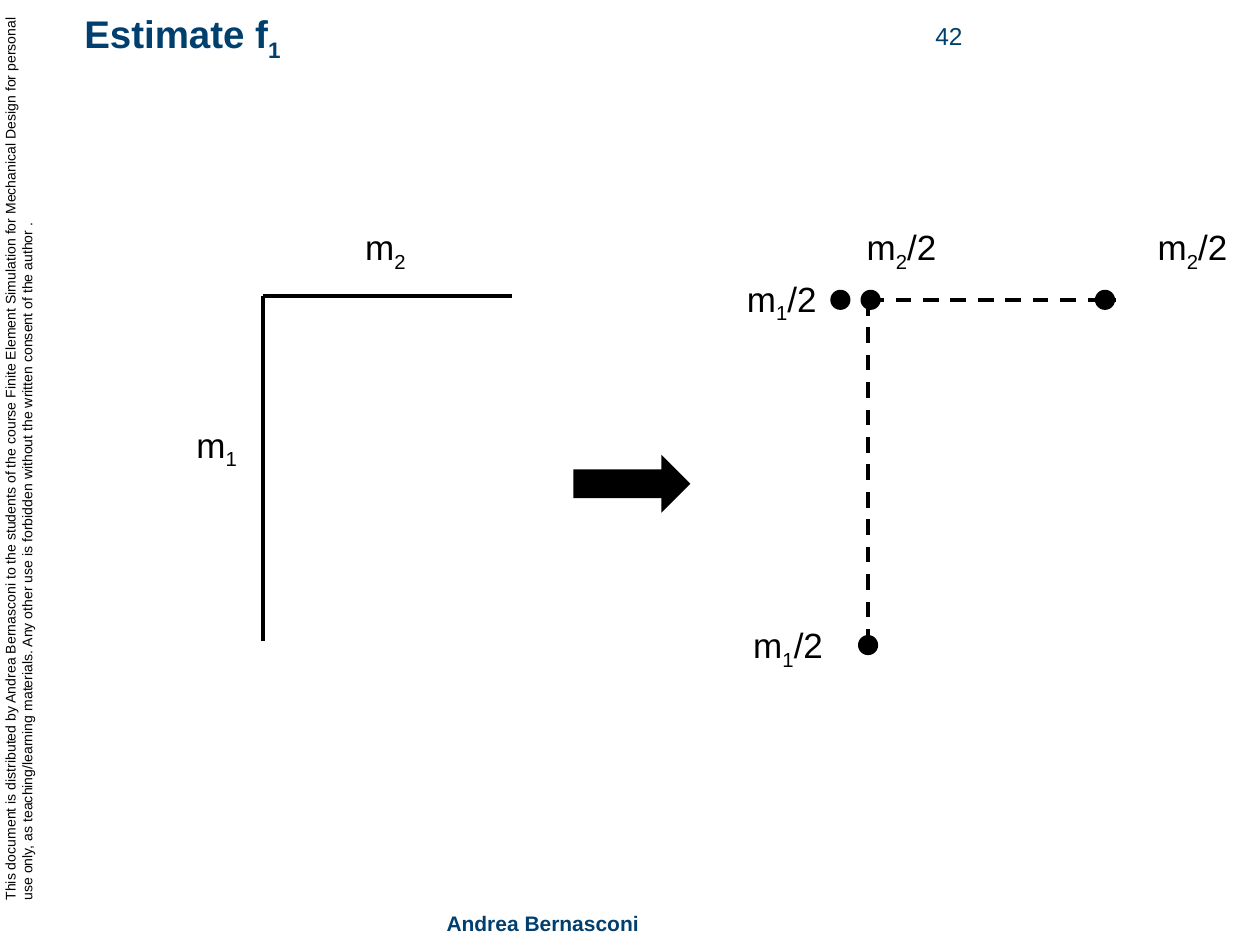
import pptx
import pptx.util
import pptx.dml.color
import pptx.enum.dml
import pptx.enum.shapes
import pptx.enum.text
import pptx.oxml.ns
import lxml.etree

tones = {"navy": "003F6E", "black": "000000"}
align = pptx.enum.text.PP_ALIGN
kinds = pptx.enum.shapes.MSO_SHAPE

deck = pptx.Presentation()
deck.slide_width = pptx.util.Inches(10)
deck.slide_height = pptx.util.Inches(7.5)
col = deck.slide_width / 100
row = deck.slide_height / 75
slide = deck.slides.add_slide(deck.slide_layouts[6])
shapes = slide.shapes


def place(x, y, wide, high):
    return int(x * col), int(y * row), int(wide * col), int(high * row)


def write(spot, parts, size, tone="black", bold=False, side=align.LEFT, wrap=True, inset=True):
    box = shapes.add_textbox(*place(*spot))
    frame = box.text_frame
    frame.word_wrap = wrap
    if not inset:
        frame.margin_left = frame.margin_right = 0
        frame.margin_top = frame.margin_bottom = 0
    line = frame.paragraphs[0]
    line.alignment = side
    for index, part in enumerate(parts):
        run = line.add_run()
        run.text = part
        run.font.name = "Arial"
        run.font.size = pptx.util.Pt(size)
        run.font.bold = bold
        run.font.color.rgb = pptx.dml.color.RGBColor.from_string(tones[tone])
        if index == 1:
            run.font._element.set("baseline", "-25000")
    return box


write((2.5, 71.8, 49.2, 3), ["Andrea Bernasconi"], 12, "navy", True, align.RIGHT)
notice = write((-34.7, 34.4, 72.4, 3.7), [
    "This document is distributed by Andrea Bernasconi to the students of the course "
    "Finite Element Simulation for Mechanical Design for personal use only, as "
    "teaching/learning materials. Any other use is forbidden without the written "
    "consent of the author ."], 8)
notice.rotation = 270
write((6.7, 0.8, 65, 9.2), ["Estimate f", "1"], 22, "navy", True, inset=False)
write((73.7, 1.7, 2.7, 2.3), ["42"], 14, "navy", side=align.RIGHT, wrap=False, inset=False)

across, down = 19.7, 27.4
for left, top, dash in [(20.9, 23.5, False), (68.9, 23.8, True)]:
    for wide, high in [(across, 0), (0, down)]:
        x, y, dx, dy = place(left, top, wide, high)
        beam = shapes.add_connector(pptx.enum.shapes.MSO_CONNECTOR.STRAIGHT, x, y, x + dx, y + dy)
        beam.line.width = pptx.util.Pt(2.25)
        beam.line.color.rgb = pptx.dml.color.RGBColor.from_string(tones["black"])
        if dash:
            beam.line.dash_style = pptx.enum.dml.MSO_LINE.DASH
        lxml.etree.SubElement(beam._element.spPr, pptx.oxml.ns.qn("a:effectLst"))

dot = 1.6
solids = [(kinds.RIGHT_ARROW, 45.5, 36.1, 9.3, 4.6)]
solids += [(kinds.OVAL, x, y, dot, dot)
           for x, y in [(86.9, 23), (68.3, 23), (65.9, 23), (68.1, 50.4)]]
for kind, *spot in solids:
    solid = shapes.add_shape(kind, *place(*spot))
    solid.shadow.inherit = False
    solid.fill.solid()
    solid.fill.fore_color.rgb = pptx.dml.color.RGBColor.from_string(tones["black"])
    solid.line.fill.background()

for x, y, *parts in [
    (28, 17.4, "m", "2"),
    (14.6, 33.1, "m", "1"),
    (90.9, 17.4, "m", "2", "/2"),
    (67.8, 17.4, "m", "2", "/2"),
    (58.8, 49, "m", "1", "/2"),
    (58.3, 21.5, "m", "1", "/2"),
]:
    write((x, y, 5.4 if len(parts) == 2 else 7.7, 4.4), parts, 20, wrap=False)

deck.save("out.pptx")
